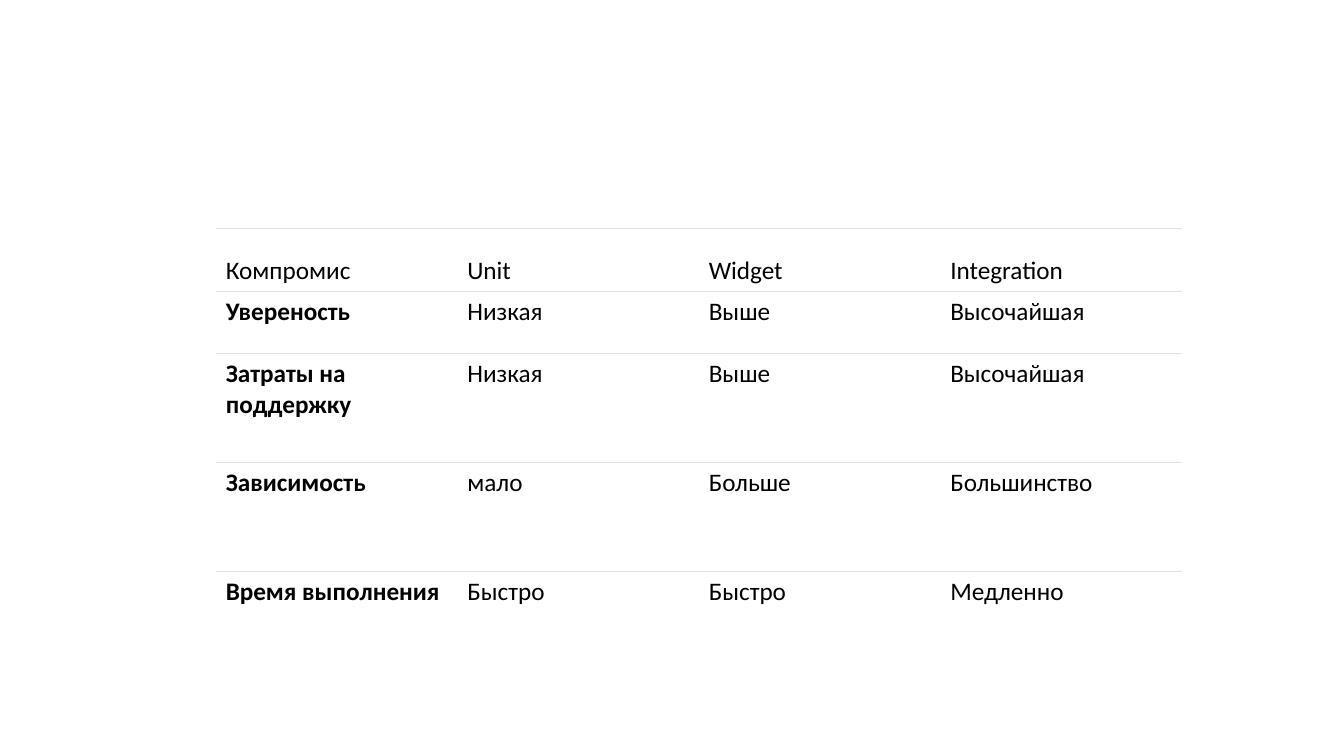
from lxml.etree import SubElement
from pptx import Presentation
from pptx.dml.color import RGBColor
from pptx.enum.text import MSO_ANCHOR
from pptx.oxml.ns import qn
from pptx.util import Inches, Pt

BLACK = RGBColor(0, 0, 0)
WHITE = RGBColor(255, 255, 255)
GRAY = RGBColor(0xDE, 0xE2, 0xE6)

ROWS = [
    ["Компромис", "Unit", "Widget", "Integration"],
    ["Увереность", "Низкая", "Выше", "Высочайшая"],
    ["Затраты на поддержку", "Низкая", "Выше", "Высочайшая"],
    ["Зависимость", "мало", "Больше", "Большинство"],
    ["Время выполнения", "Быстро", "Быстро", "Медленно"],
]
TALL = [0.62, 0.62, 1.08, 1.08, 1.08]
WIDE = 2.395


class Deck:
    font = "Calibri"
    size = Pt(18)
    rule = Pt(0.6)

    def __init__(self, slide):
        self.slide = slide

    def edge(self, cell, side, shown):
        line = SubElement(cell._tc.get_or_add_tcPr(), qn(f"a:ln{side}"))
        if shown:
            line.set("w", str(self.rule))
            fill = SubElement(line, qn("a:solidFill"))
            SubElement(fill, qn("a:srgbClr"), val=str(GRAY))
        else:
            line.set("w", "0")
            SubElement(line, qn("a:noFill"))

    def cell(self, cell, text, bold, anchor, sides):
        for side in "LRTB":
            self.edge(cell, side, side in sides)
        cell.fill.solid()
        cell.fill.fore_color.rgb = WHITE
        cell.vertical_anchor = anchor
        run = cell.text_frame.paragraphs[0].add_run()
        run.text = text
        run.font.name = self.font
        run.font.size = self.size
        run.font.bold = bold
        run.font.color.rgb = BLACK

    def table(self, left, top, rows, wide, tall):
        frame = self.slide.shapes.add_table(
            len(rows), len(rows[0]), Inches(left), Inches(top),
            Inches(wide * len(rows[0])), Inches(sum(tall)))
        grid = frame.table
        grid.first_row = grid.horz_banding = False
        for col in grid.columns:
            col.width = Inches(wide)
        for r, texts in enumerate(rows):
            grid.rows[r].height = Inches(tall[r])
            anchor = MSO_ANCHOR.TOP if r else MSO_ANCHOR.BOTTOM
            sides = "T" if r == len(rows) - 1 else "TB"
            for c, text in enumerate(texts):
                self.cell(grid.cell(r, c), text, r > 0 and c == 0, anchor, sides)


def main():
    show = Presentation()
    show.slide_width = Inches(13.33)
    show.slide_height = Inches(7.5)
    deck = Deck(show.slides.add_slide(show.slide_layouts[6]))
    deck.table(2.14, 2.27, ROWS, WIDE, TALL)
    show.save("out.pptx")


if __name__ == "__main__":
    main()
